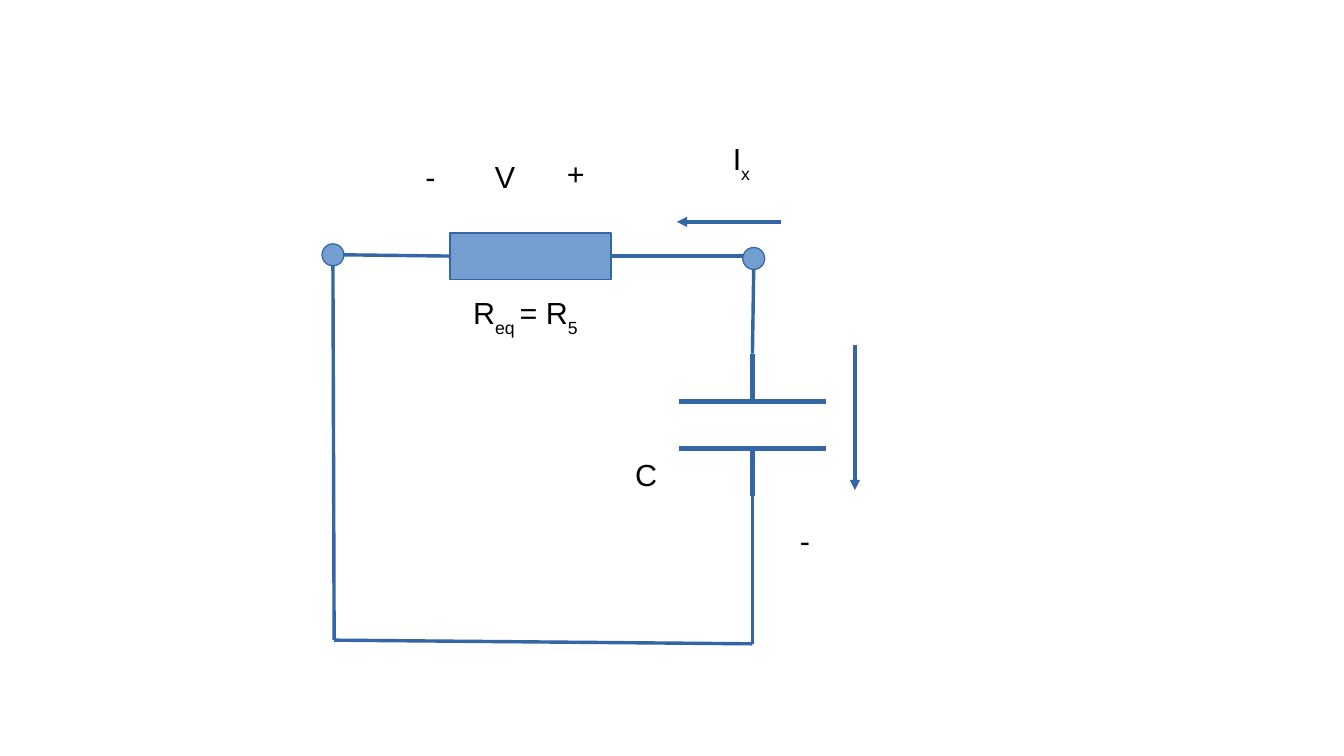
"""Draw an RC circuit with a resistor, a capacitor and current arrows."""
from pptx import Presentation
from pptx import util as u
from pptx.dml.color import RGBColor
from pptx.enum import shapes, text
from pptx.oxml import ns
from lxml import etree

BLUE = RGBColor(0x72, 0x9F, 0xCF)
DARK_BLUE = RGBColor(0x34, 0x65, 0xA4)
BLACK = RGBColor(0, 0, 0)
HAIRLINE = 0
PLATE_WIDTH = 2.83
NODE_SIZE = 0.18


def add_component(slide, kind, left, top, width, height):
    """Add a filled circuit shape with a hairline outline."""
    shape = slide.shapes.add_shape(
        kind, u.Inches(left), u.Inches(top), u.Inches(width), u.Inches(height))
    shape.shadow.inherit = False
    shape.fill.solid()
    shape.fill.fore_color.rgb = BLUE
    shape.line.color.rgb = DARK_BLUE
    shape.line.width = u.Pt(HAIRLINE)
    return shape


def add_wire(container, start, end, width=HAIRLINE, arrow=False):
    """Add a straight line, with an arrowhead at its end if asked."""
    wire = container.shapes.add_connector(
        shapes.MSO_CONNECTOR.STRAIGHT, *map(u.Inches, start + end))
    wire.line.color.rgb = DARK_BLUE
    wire.line.width = u.Pt(width)
    if arrow:
        line = wire.line._get_or_add_ln()
        etree.SubElement(line, ns.qn("a:tailEnd"), type="triangle")
    etree.SubElement(wire._element.spPr, ns.qn("a:effectLst"))
    return wire


def add_run(paragraph, content, size=18, font="Arial", color=BLACK, subscript=False):
    """Add formatted text to a paragraph."""
    run = paragraph.add_run()
    run.text = content
    run.font.size = u.Pt(size)
    run.font.name = font
    run.font.color.rgb = color
    if subscript:
        run._r.get_or_add_rPr().set("baseline", "-33000")


def add_label(slide, left, top, width, height, *parts):
    """Add a label whose parts alternate between normal text and subscript."""
    label = slide.shapes.add_textbox(
        u.Inches(left), u.Inches(top), u.Inches(width), u.Inches(height))
    frame = label.text_frame
    frame.word_wrap = True
    frame.vertical_anchor = text.MSO_ANCHOR.TOP
    for index, part in enumerate(parts):
        add_run(frame.paragraphs[0], part, subscript=index % 2 == 1)


def add_capacitor(slide, center, top, bottom):
    """Add a grouped capacitor with two plates and two leads."""
    group = slide.shapes.add_group_shape()
    for end, plate in ((top, top + 0.39), (bottom, bottom - 0.39)):
        add_wire(group, (center, end), (center, plate), width=PLATE_WIDTH)
        add_wire(group, (center - 0.6, plate), (center + 0.6, plate), width=PLATE_WIDTH)


def main():
    """Build the slide and save it."""
    presentation = Presentation()
    presentation.slide_width = u.Inches(11.02)
    presentation.slide_height = u.Inches(6.2)
    slide = presentation.slides.add_slide(presentation.slide_layouts[6])

    resistor = add_component(slide, shapes.MSO_SHAPE.RECTANGLE, 3.69, 1.91, 1.32, 0.38)
    add_wire(slide, (5.01, 2.1), (6.1, 2.1)).begin_connect(resistor, 3)
    add_wire(slide, (3.69, 2.1), (2.82, 2.09)).begin_connect(resistor, 1)
    for left, top in ((2.64, 2), (6.09, 2.03)):
        add_component(slide, shapes.MSO_SHAPE.OVAL, left, top, NODE_SIZE, NODE_SIZE)

    add_capacitor(slide, 6.17, 2.9, 4.07)
    for start, end in (
        ((6.18, 2.21), (6.17, 2.9)),
        ((2.74, 5.25), (2.73, 2.18)),
        ((2.74, 5.25), (6.17, 5.28)),
        ((6.17, 5.28), (6.17, 4.07)),
    ):
        add_wire(slide, start, end)
    add_wire(slide, (7.01, 2.83), (7.01, 4.02), arrow=True)
    add_wire(slide, (6.4, 1.82), (5.55, 1.82), arrow=True)

    add_label(slide, 3.39, 1.25, 0.86, 0.58, "-")
    add_label(slide, 3.96, 1.25, 0.84, 0.58, "V")
    add_label(slide, 4.55, 1.22, 0.74, 0.58, "+")
    add_label(slide, 3.78, 2.36, 1.85, 1.19, "R", "eq ", "= R", "5")
    add_label(slide, 5.91, 1.1, 1.11, 0.67, "I", "x")
    add_label(slide, 5.11, 3.69, 0.92, 0.78, "C")
    add_label(slide, 6.46, 4.23, 0.86, 0.58, "-")

    presentation.save("out.pptx")


if __name__ == "__main__":
    main()
